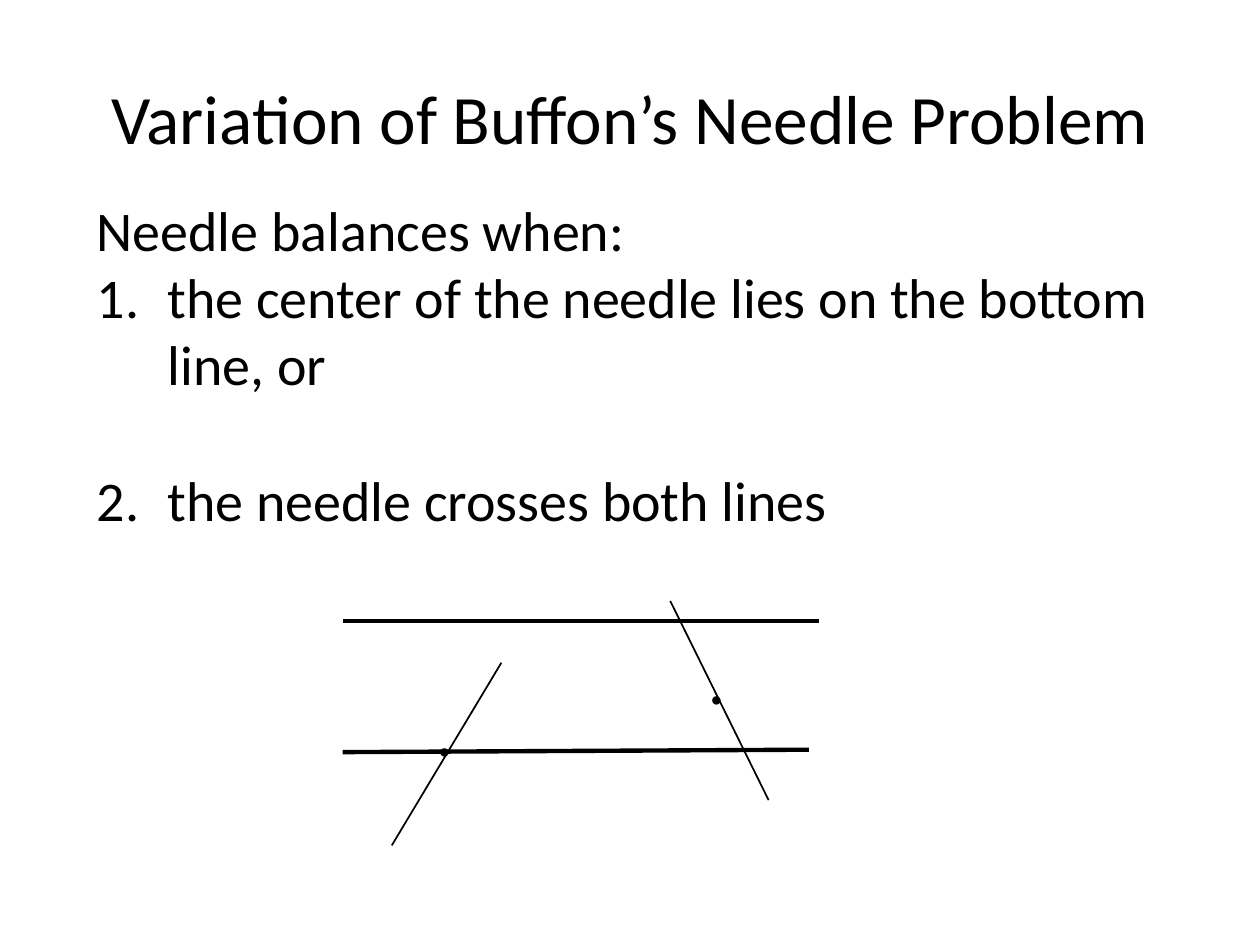
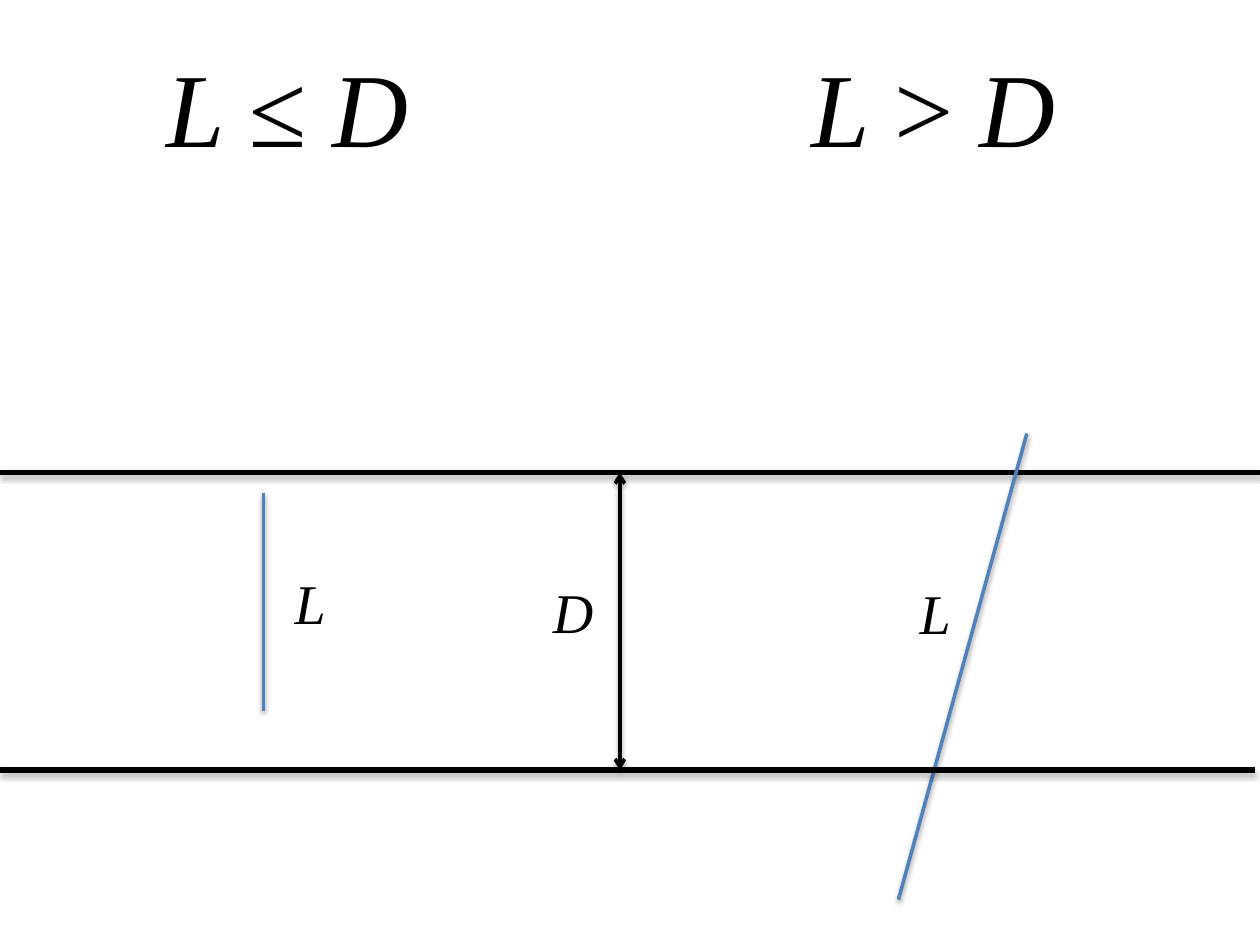
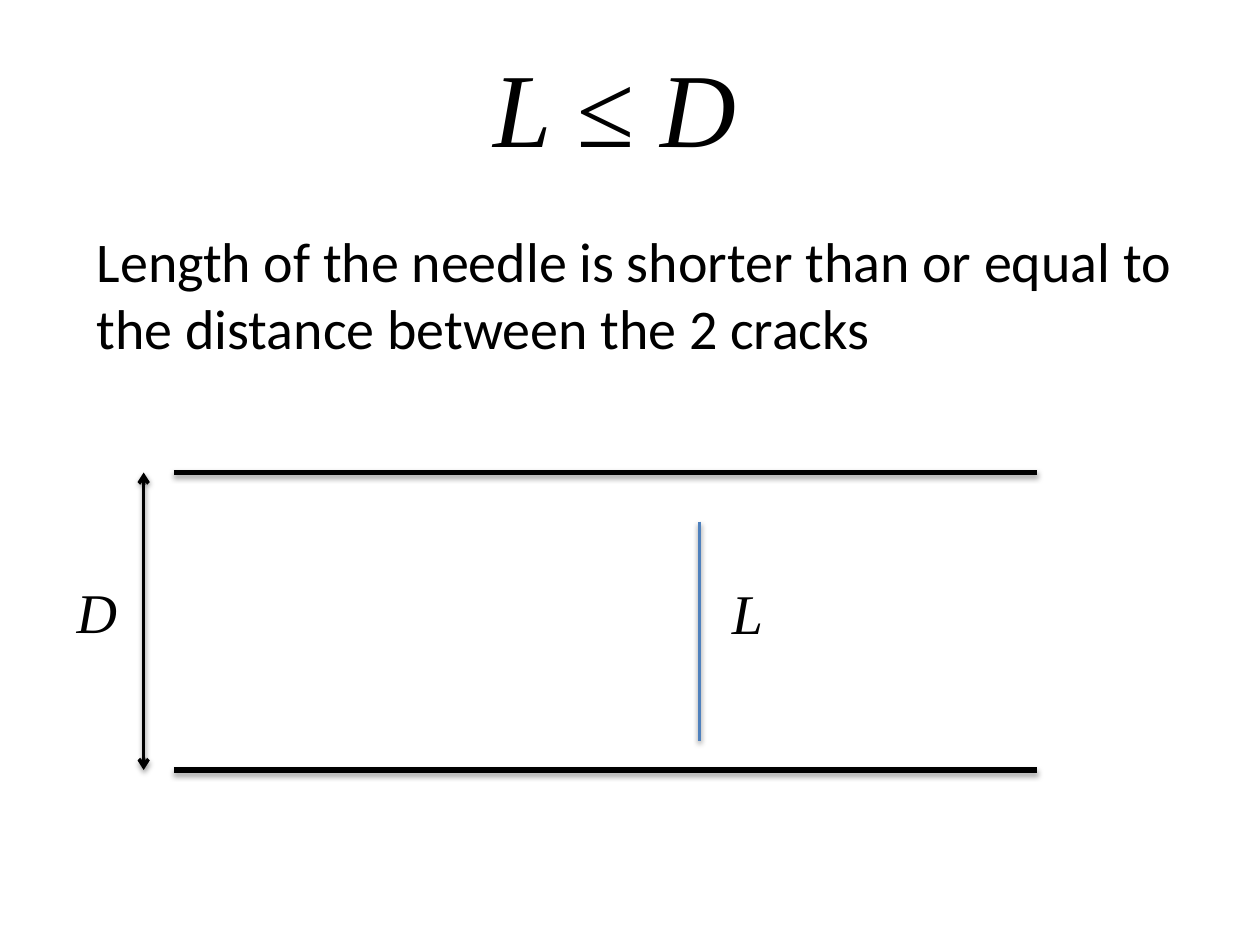
from lxml import etree
from pptx import Presentation
from pptx.dml.color import RGBColor
from pptx.enum.shapes import MSO_CONNECTOR
from pptx.enum.text import MSO_ANCHOR, MSO_AUTO_SIZE, PP_ALIGN
from pptx.oxml.ns import qn
from pptx.util import Pt

STRAIGHT = MSO_CONNECTOR.STRAIGHT
TOP, MIDDLE = MSO_ANCHOR.TOP, MSO_ANCHOR.MIDDLE
LEFT, CENTER = PP_ALIGN.LEFT, PP_ALIGN.CENTER
FIXED = MSO_AUTO_SIZE.NONE
TITLE_ONLY, BLANK = 5, 6

COLORS = {"ink": "000000", "needle": "4F81BD"}
SANS, SERIF = "Calibri", "Times New Roman"
CRACKS = (270, 440)     # heights of the two floor cracks
INDENT = 40.5

# Headings and labels: pieces alternate between italic and upright.
AT_MOST = ("L ≤ D",)
MORE = ("L ", ">", " D")

# Needle problem: lines as (from, to, width), dots as (left, top)
PROBLEM = "Variation of Buffon’s Needle Problem"
INTRO = "Needle balances when:"
CASES = [
    "the center of the needle lies on the bottom line, or",
    "the needle crosses both lines",
]
SKETCH = [
    ((462.2, 428.4), (195.8, 429.8), 2.5),
    ((468, 355), (195.8, 355), 2.5),
    ((223.9, 483.1), (286.5, 378.7), 1),
    ((439.2, 457.2), (383, 343.4), 1),
]
DOTS = [(243.4, 413.3), (398.9, 383.8)]

# Both lengths: headings as (pieces, left), labels as (letter, left, top)
HEADS = [(AT_MOST, 87.8), (MORE, 456.5)]
NEEDLES = [((586.8, 247.7), (513.4, 514.1)), ((150.5, 281.5), (150.5, 406.1))]
LABELS = [("D", 308.9, 326.2), ("L", 518.4, 326.9), ("L", 161.3, 321.1)]

# Short needle
SHORT = ("Length of the needle is shorter than or equal to "
         "the distance between the 2 cracks")
SHORT_NEEDLE = ((399.6, 298.1), (399.6, 423.4))
SHORT_LABELS = [("D", 36.7, 326.2), ("L", 411.1, 326.9)]


def rgb(name):
    return RGBColor.from_string(COLORS[name])


def style(run, size, face, italic=False):
    font = run.font
    font.size, font.name, font.italic = Pt(size), face, italic
    font.color.rgb = rgb("ink")


def place(shape, left, top, width, height):
    shape.left, shape.top = Pt(left), Pt(top)
    shape.width, shape.height = Pt(width), Pt(height)


def box(slide, left, top, width, height):
    shape = slide.shapes.add_textbox(
        Pt(left), Pt(top), Pt(width), Pt(height))
    shape.text_frame.word_wrap = True
    return shape


def math_text(shape, pieces, size):
    para = shape.text_frame.paragraphs[0]
    for i, piece in enumerate(pieces):
        run = para.add_run()
        run.text = piece
        style(run, size, SERIF, italic=i % 2 == 0)


def labels(slide, items):
    for letter, left, top in items:
        math_text(box(slide, left, top, 45.4, 46.1), (letter,), 32)


def title(slide, align, anchor, *area):
    shape = slide.shapes.title
    place(shape, *area)
    frame = shape.text_frame
    frame.auto_size, frame.vertical_anchor = FIXED, anchor
    frame.paragraphs[0].alignment = align
    return shape


def body(slide, lines, *area):
    """Write the first line plain and number the rest."""
    frame = box(slide, *area).text_frame
    for i, line in enumerate(lines):
        para = frame.paragraphs[0] if i == 0 else frame.add_paragraph()
        para.text = line
        if i:
            props = para._p.get_or_add_pPr()
            props.set("marL", str(Pt(INDENT)))
            props.set("indent", str(-Pt(INDENT)))
            etree.SubElement(props, qn("a:buFont"), typeface="+mj-lt")
            etree.SubElement(props, qn("a:buAutoNum"), type="arabicPeriod")
        if i > 1:
            para.space_before = Pt(39)
        style(para.runs[0], 32, SANS)


def line(slide, start, end, width, color="ink", shade=None, arrows=False):
    """Draw a line; shade is (shadow distance in points, opacity in %)."""
    link = slide.shapes.add_connector(
        STRAIGHT, *(Pt(value) for value in (*start, *end)))
    link.line.width = Pt(width)
    link.line.color.rgb = rgb(color)
    props = link._element.spPr
    if arrows:
        for tag in ("a:headEnd", "a:tailEnd"):
            etree.SubElement(props.find(qn("a:ln")), qn(tag), type="arrow")
    effects = etree.SubElement(props, qn("a:effectLst"))
    if shade:
        dist, alpha = shade
        shadow = etree.SubElement(
            effects, qn("a:outerShdw"), blurRad=str(Pt(3.1)),
            dist=str(Pt(dist)), dir="5400000", rotWithShape="0")
        tint = etree.SubElement(shadow, qn("a:srgbClr"), val=COLORS["ink"])
        etree.SubElement(tint, qn("a:alpha"), val=str(alpha * 1000))


def crack(slide, left, right, y):
    line(slide, (left, y), (right, y), 3, shade=(1.8, 35))


def needle(slide, start, end):
    line(slide, start, end, 2, "needle", (1.6, 38))


def gap(slide, x):
    """Draw the double arrow between the cracks."""
    top, bottom = CRACKS
    line(slide, (x, top), (x, bottom), 2, shade=(1.6, 38), arrows=True)


def problem_slide(deck):
    slide = deck.slides.add_slide(deck.slide_layouts[TITLE_ONLY])
    head = title(slide, CENTER, MIDDLE, 36, 21.6, 648, 90)
    head.text_frame.text = PROBLEM
    style(head.text_frame.paragraphs[0].runs[0], 39.6, SANS)
    for left, top in DOTS:
        dot = box(slide, left, top, 39.6, 43.9).text_frame.paragraphs[0]
        dot.text = "•"
        style(dot.runs[0], 20, SERIF)
    for start, end, width in SKETCH:
        line(slide, start, end, width)
    body(slide, [INTRO, *CASES], 48.2, 108, 666, 203.8)


def lengths_slide(deck):
    slide = deck.slides.add_slide(deck.slide_layouts[BLANK])
    crack(slide, 0, 720, CRACKS[0])
    for ends in NEEDLES:
        needle(slide, *ends)
    gap(slide, 354.2)
    crack(slide, 0, 717, CRACKS[1])
    for pieces, left in HEADS:
        math_text(box(slide, left, 20.9, 170, 80), pieces, 60)
    labels(slide, LABELS)


def short_slide(deck):
    slide = deck.slides.add_slide(deck.slide_layouts[TITLE_ONLY])
    head = title(slide, LEFT, TOP, 275, 20.9, 170, 80)
    math_text(head, AT_MOST, 60)
    body(slide, [SHORT], 48.2, 126, 632.2, 110.2)
    for y in CRACKS:
        crack(slide, 99.4, 592.6, y)
    needle(slide, *SHORT_NEEDLE)
    gap(slide, 82.1)
    labels(slide, SHORT_LABELS)


def main():
    deck = Presentation()
    deck.slide_width, deck.slide_height = Pt(720), Pt(540)
    problem_slide(deck)
    lengths_slide(deck)
    short_slide(deck)
    deck.save("out.pptx")


if __name__ == "__main__":
    main()
